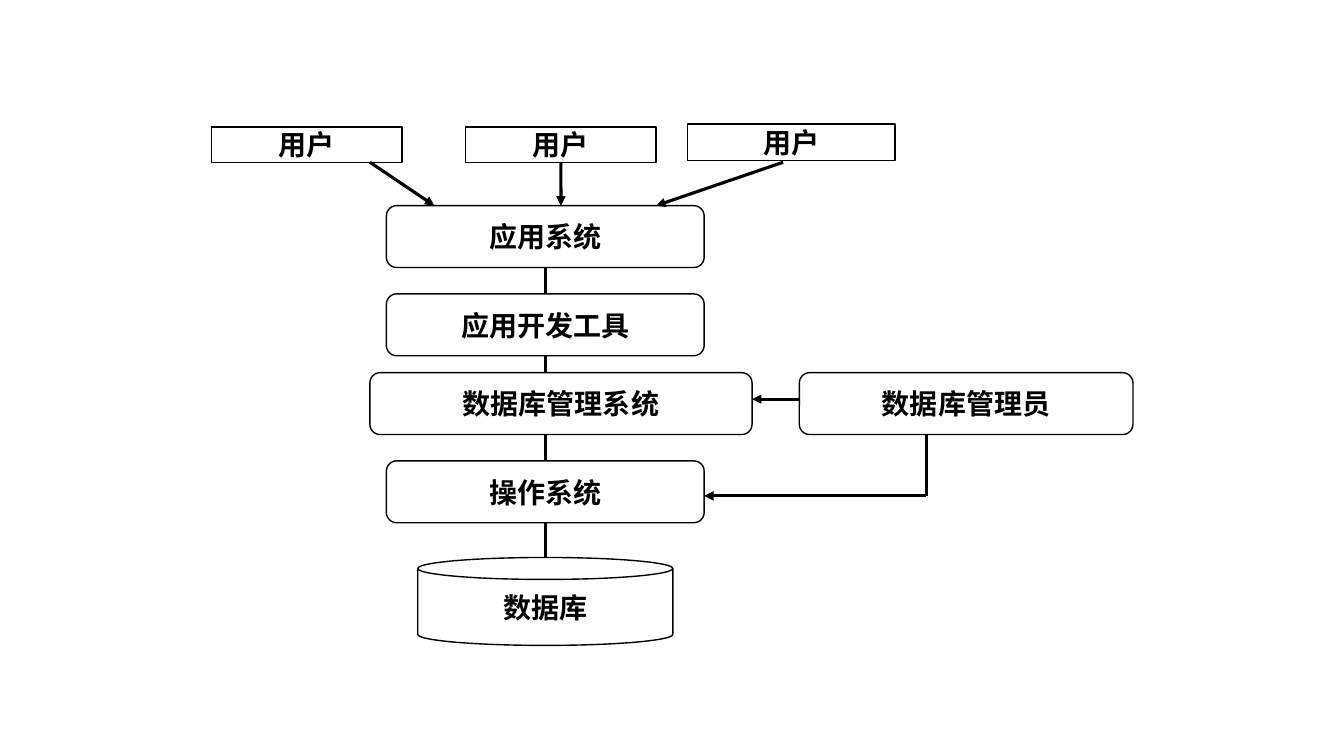
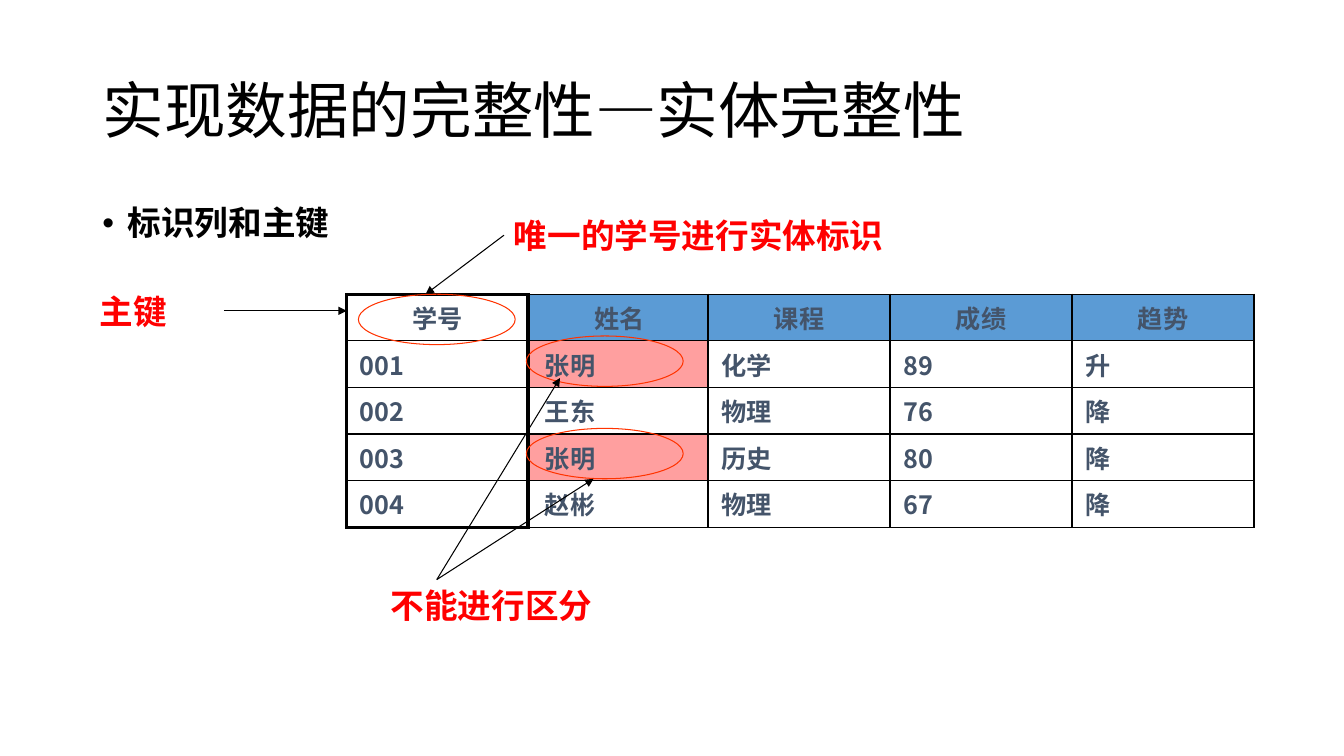
from pptx import Presentation
from pptx.dml.color import RGBColor
from pptx.enum.shapes import MSO_CONNECTOR, MSO_SHAPE
from pptx.enum.text import MSO_ANCHOR, MSO_AUTO_SIZE, PP_ALIGN
from pptx.oxml.ns import qn
from pptx.util import Pt
from lxml import etree

BLACK = RGBColor(0x00, 0x00, 0x00)
WHITE = RGBColor(0xFF, 0xFF, 0xFF)
RED = RGBColor(0xFF, 0x00, 0x00)
ORANGE_RED = RGBColor(0xFF, 0x33, 0x00)
SLATE = RGBColor(0x44, 0x54, 0x6A)
HEADER_BLUE = RGBColor(0x5B, 0x9B, 0xD5)
DUPLICATE_PINK = RGBColor(0xFF, 0x9F, 0x9F)

RECTANGLE = MSO_SHAPE.RECTANGLE
ROUNDED = MSO_SHAPE.ROUNDED_RECTANGLE
CAN = MSO_SHAPE.CAN
OVAL = MSO_SHAPE.OVAL
STRAIGHT = MSO_CONNECTOR.STRAIGHT
MIDDLE = MSO_ANCHOR.MIDDLE
BOTTOM = MSO_ANCHOR.BOTTOM
LEFT = PP_ALIGN.LEFT
CENTER = PP_ALIGN.CENTER
NO_FIT = MSO_AUTO_SIZE.NONE
GROW = MSO_AUTO_SIZE.SHAPE_TO_FIT_TEXT

CJK_FONT = "Noto Sans CJK SC"
NARROW_FONT = "Arial Narrow"
TITLE_FONT = "Arial"
CAPTION_FONT = "TeX Gyre Schola"

TOP_SITE, LEFT_SITE, BOTTOM_SITE, RIGHT_SITE = range(4)
THICK, THIN = 2.25, 0.75
SPINE_X = 389.5
LAYER_HEIGHT = 44.2
TABLE_TOP = 210.2
ROW_HEIGHT = 31.1
COLUMN_WIDTH = 130
CELL_INSET = 9.36
NAME_INSET = 13.4

SCORES = [
    ["姓名", "课程", "成绩", "趋势"],
    ["张明", "化学", "89", "升"],
    ["王东", "物理", "76", "降"],
    ["张明", "历史", "80", "降"],
    ["赵彬", "物理", "67", "降"],
]
STUDENT_IDS = [["学号"], ["001"], ["002"], ["003"], ["004"]]


def points(*lengths):
    return [Pt(length) for length in lengths]


def add_run(paragraph, text, size, font, color, bold=True):
    run = paragraph.add_run()
    run.text = text
    run.font.size = Pt(size)
    run.font.name = font
    run.font.bold = bold
    run.font.color.rgb = color
    east_asian = etree.Element(qn("a:ea"), typeface=CJK_FONT)
    run.font._element.find(qn("a:latin")).addnext(east_asian)


def add_node(slide, kind, text, left, top, width, height):
    node = slide.shapes.add_shape(kind, *points(left, top, width, height))
    node.shadow.inherit = False
    node.fill.solid()
    node.fill.fore_color.rgb = WHITE
    node.line.color.rgb = BLACK
    node.line.width = Pt(1)
    frame = node.text_frame
    frame.word_wrap = False
    frame.vertical_anchor = MIDDLE
    frame.paragraphs[0].alignment = CENTER
    add_run(frame.paragraphs[0], text, 20, NARROW_FONT, BLACK)
    return node


def add_layer(slide, kind, text, top, width=227, height=LAYER_HEIGHT, center=SPINE_X):
    return add_node(slide, kind, text, center - width / 2, top, width, height)


def add_line(slide, start, end, width, arrow=True, source=None, target=None):
    line = slide.shapes.add_connector(STRAIGHT, *points(*start, *end))
    line.line.color.rgb = BLACK
    line.line.width = Pt(width)
    if arrow:
        etree.SubElement(line.line._get_or_add_ln(), qn("a:tailEnd"), type="triangle")
    etree.SubElement(line._element.spPr, qn("a:effectLst"))
    if source:
        line.begin_connect(*source)
    if target:
        line.end_connect(*target)


def add_caption(slide, text, left, top, width):
    caption = slide.shapes.add_textbox(*points(left, top, width, 36))
    frame = caption.text_frame
    frame.word_wrap = True
    frame.auto_size = GROW
    frame.vertical_anchor = BOTTOM
    add_run(frame.paragraphs[0], text, 24, CAPTION_FONT, RED)
    return caption


def add_highlight(slide, left, top):
    ring = slide.shapes.add_shape(OVAL, *points(left, top, 112, 36))
    ring.shadow.inherit = False
    ring.fill.background()
    ring.line.color.rgb = ORANGE_RED
    ring.line.width = Pt(THIN)


def set_borders(cell, left, right, top, bottom):
    properties = cell._tc.get_or_add_tcPr()
    for side, width in zip("LRTB", (left, right, top, bottom)):
        border = etree.SubElement(properties, qn(f"a:ln{side}"), w=str(Pt(width)))
        fill = etree.SubElement(border, qn("a:solidFill"))
        etree.SubElement(fill, qn("a:srgbClr"), val=str(BLACK))


def fill_cell(cell, color):
    if color:
        cell.fill.solid()
        cell.fill.fore_color.rgb = color
    else:
        cell.fill.background()


def add_grid(slide, rows, left, style_cell):
    columns = len(rows[0])
    frame = slide.shapes.add_table(
        len(rows), columns,
        *points(left, TABLE_TOP, COLUMN_WIDTH * columns, ROW_HEIGHT * len(rows)))
    table = frame.table
    table.first_row = False
    table.horz_banding = False
    for row, texts in enumerate(rows):
        for column, text in enumerate(texts):
            cell = table.cell(row, column)
            cell.margin_left = cell.margin_right = Pt(CELL_INSET)
            paragraph = cell.text_frame.paragraphs[0]
            paragraph.alignment = LEFT if row else CENTER
            add_run(paragraph, text, 18, CJK_FONT, SLATE)
            style_cell(cell, row, column)


def style_score(cell, row, column):
    set_borders(cell, 1, 1, 1, 1)
    if column == 0:
        cell.margin_left = Pt(NAME_INSET)
    if row == 0:
        fill_cell(cell, HEADER_BLUE)
    else:
        fill_cell(cell, DUPLICATE_PINK if SCORES[row][column] == "张明" else None)


def style_id(cell, row, column):
    last = len(STUDENT_IDS) - 1
    set_borders(cell, THICK, THICK, THICK if row == 0 else 1, THICK if row == last else 1)
    fill_cell(cell, None)


def fill_placeholder(placeholder, box, text, size, font, bold):
    placeholder.left, placeholder.top, placeholder.width, placeholder.height = points(*box)
    frame = placeholder.text_frame
    frame.auto_size = NO_FIT
    paragraph = frame.paragraphs[0]
    paragraph.alignment = LEFT
    paragraph.line_spacing = 0.9
    add_run(paragraph, text, size, font, BLACK, bold)
    return paragraph


def build_architecture(deck):
    slide = deck.slides.add_slide(deck.slide_layouts[6])
    add_node(slide, RECTANGLE, "用户", 491, 88.6, 148.3, 25.9)
    add_node(slide, RECTANGLE, "用户", 151.2, 90.7, 136.1, 25.2)
    middle_user = add_node(slide, RECTANGLE, "用户", 332.6, 90.7, 136.1, 25.2)

    application = add_layer(slide, ROUNDED, "应用系统", 146.9)
    tools = add_layer(slide, ROUNDED, "应用开发工具", 209.9)
    add_layer(slide, ROUNDED, "数据库管理系统", 266.2, width=273, center=400.7)
    system = add_layer(slide, ROUNDED, "操作系统", 329.2)
    add_layer(slide, CAN, "数据库", 398.2, width=182.2, height=62.8)
    add_layer(slide, ROUNDED, "数据库管理员", 266.2, width=238.3, center=690.1)

    add_line(slide, (264.2, 115.9), (310.3, 146.9), THICK)
    add_line(slide, (400.7, 115.9), (400.7, 146.9), THICK, source=(middle_user, BOTTOM_SITE))
    add_line(slide, (559.4, 115.9), (468.7, 146.9), THICK)

    spine = [
        (191.1, 209.9, (application, BOTTOM_SITE), (tools, TOP_SITE)),
        (254.1, 266.2, (tools, BOTTOM_SITE), None),
        (310.4, 329.2, None, (system, TOP_SITE)),
        (373.4, 398.2, (system, BOTTOM_SITE), None),
    ]
    for start, end, source, target in spine:
        add_line(slide, (SPINE_X, start), (SPINE_X, end), THICK, False, source, target)

    add_line(slide, (571, 285.1), (537.2, 285.1), THICK)
    add_line(slide, (661.7, 354.2), (503, 354.2), THICK)
    add_line(slide, (661.7, 310.4), (661.7, 354.2), THICK, arrow=False)


def build_entity_integrity(deck):
    slide = deck.slides.add_slide(deck.slide_layouts[1])
    title = slide.shapes.title
    fill_placeholder(title, (66, 28.8, 762, 104.4),
                     "实现数据的完整性—实体完整性", 44, TITLE_FONT, False)
    title.text_frame.vertical_anchor = MIDDLE
    topic = fill_placeholder(slide.placeholders[1], (66, 144, 828, 342.7),
                             "标识列和主键", 24, NARROW_FONT, True)
    topic.space_before = Pt(10)
    properties = topic._p.get_or_add_pPr()
    properties.set("marL", str(Pt(18)))
    properties.set("indent", str(Pt(-18)))
    etree.SubElement(properties, qn("a:buFont"), typeface="Arial")
    etree.SubElement(properties, qn("a:buChar"), char="•")

    add_grid(slide, SCORES, 375.8, style_score)
    add_grid(slide, STUDENT_IDS, 247.7, style_id)

    unique_id = add_caption(slide, "唯一的学号进行实体标识", 360, 150, 520)
    add_line(slide, (360, 168), (304, 210.2), THIN, source=(unique_id, LEFT_SITE))
    for left, top in ((256, 210.2), (376, 306), (376, 240)):
        add_highlight(slide, left, top)

    add_caption(slide, "不能进行区分", 272, 414, 288)
    for duplicate in ((424, 342), (400, 270)):
        add_line(slide, (312, 414), duplicate, THIN)

    primary_key = add_caption(slide, "主键", 64, 204, 96)
    add_line(slide, (160, 222), (247.7, 222), THIN, source=(primary_key, RIGHT_SITE))


def main():
    deck = Presentation()
    deck.slide_width, deck.slide_height = points(960, 540)
    build_architecture(deck)
    build_entity_integrity(deck)
    deck.save("out.pptx")


if __name__ == "__main__":
    main()
